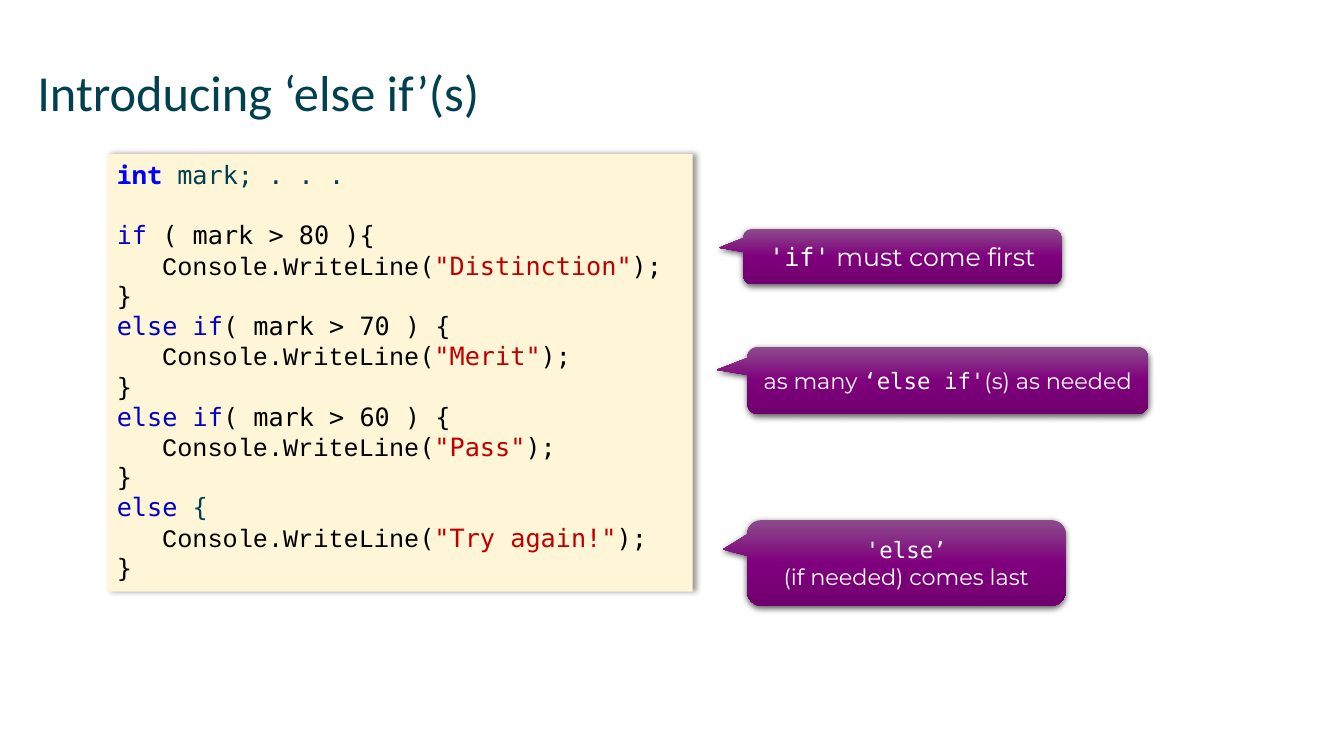
from copy import deepcopy

from lxml.etree import SubElement
from pptx import Presentation
from pptx.dml.color import RGBColor
from pptx.enum.shapes import MSO_SHAPE
from pptx.enum.text import MSO_ANCHOR, MSO_AUTO_SIZE, PP_ALIGN
from pptx.oxml.ns import qn
from pptx.util import Inches, Pt

MONO = "DejaVu Sans Mono"
STYLES = {
    "title": ("Calibri", "004050", False),
    "type": ("Noto Sans Mono", "0000FF", True),
    "dark": (MONO, "004050", False),
    "keyword": (MONO, "0000C8", False),
    "code": (MONO, "000000", False),
    "method": ("Courier New", "000000", False),
    "string": (MONO, "C00000", False),
    "note": ("Montserrat", "FFFFFF", False),
    "note code": (MONO, "FFFFFF", False),
}
LINE_HEIGHT = Pt(21.6)
CODE_INDENT = Inches(0.45)
PURPLE_STOPS = [(0, "8D4B8C"), (0.5, "7F007D"), (1, "71006F")]
BRANCHES = [
    ("if ", "( mark > 80 ){", "code", "Distinction"),
    ("else if", "( mark > 70 ) {", "code", "Merit"),
    ("else if", "( mark > 60 ) {", "code", "Pass"),
    ("else ", "{", "dark", "Try again!"),
]
CALLOUTS = [
    (7.37, 2.27, 3.16, 0.55, 18,
     [[("'if'", "note code"), (" must come first", "note")]]),
    (7.41, 3.44, 3.98, 0.67, 16,
     [[("as many ", "note"), ("‘else if'", "note code"), ("(s) as needed", "note")]]),
    (7.41, 5.16, 3.16, 0.85, 16,
     [[("'else’", "note code")], [("(if needed) comes last", "note")]]),
]


def colour(value):
    """Turn a hex string into a colour."""
    return RGBColor.from_string(value)


def write_lines(frame, lines, size, align):
    """Write each line of styled spans as a paragraph."""
    frame.word_wrap = True
    for number, spans in enumerate(lines):
        para = frame.add_paragraph() if number else frame.paragraphs[0]
        para.alignment = align
        for text, style in spans:
            span = para.add_run()
            span.text = text
            font_name, font_colour, bold = STYLES[style]
            span.font.name = font_name
            span.font.size = Pt(size)
            span.font.bold = bold
            span.font.color.rgb = colour(font_colour)


def add_box(page, preset, left, top, width, height):
    """Add a borderless preset shape."""
    box = page.shapes.add_shape(
        preset, Inches(left), Inches(top), Inches(width), Inches(height))
    box.line.fill.background()
    return box


def add_shadow(box, opacity, blur, distance, angle):
    """Give a shape a soft black outer shadow."""
    box.shadow.inherit = False
    effects = box._element.spPr.find(qn("a:effectLst"))
    shadow = SubElement(
        effects, qn("a:outerShdw"), blurRad=str(Pt(blur)), dist=str(Pt(distance)),
        dir=str(angle * 60000), algn="ctr", rotWithShape="0")
    black = SubElement(shadow, qn("a:srgbClr"), val="000000")
    SubElement(black, qn("a:alpha"), val=str(opacity * 1000))


def fill_gradient(box, stops):
    """Fill a shape with a three-stop gradient from top to bottom."""
    box.fill.gradient()
    box.fill.gradient_angle = 270
    stop_list = box._element.spPr.find(qn("a:gradFill")).find(qn("a:gsLst"))
    stop_list.append(deepcopy(stop_list[0]))
    for stop, (position, value) in zip(box.fill.gradient_stops, stops):
        stop.position = position
        stop.color.rgb = colour(value)


def add_title(page, text):
    """Move and format the title placeholder."""
    title = page.shapes.title
    title.left, title.top = Inches(0.37), Inches(0.61)
    title.width, title.height = Inches(12.6), Inches(0.88)
    frame = title.text_frame
    frame.margin_left = frame.margin_right = frame.margin_top = frame.margin_bottom = 0
    frame.vertical_anchor = MSO_ANCHOR.TOP
    frame.auto_size = MSO_AUTO_SIZE.NONE
    write_lines(frame, [[(text, "title")]], 36, PP_ALIGN.LEFT)


def code_lines():
    """List the styled lines of the code sample."""
    lines = [[("int ", "type"), ("mark; . . .", "dark")]]
    for keyword, condition, condition_style, grade in BRANCHES:
        lines += [
            [(keyword, "keyword"), (condition, condition_style)],
            [("Console.WriteLine", "method"), ("(", "code"),
             (f'"{grade}"', "string"), (");", "code")],
            [("}", "code")],
        ]
    return lines


def add_code(page):
    """Add the code panel with indented statements."""
    box = add_box(page, MSO_SHAPE.RECTANGLE, 1.06, 1.53, 5.81, 4.34)
    box.fill.solid()
    box.fill.fore_color.rgb = colour("FEF6D7")
    add_shadow(box, 40, 4, 3, 0)
    frame = box.text_frame
    frame.vertical_anchor = MSO_ANCHOR.TOP
    write_lines(frame, code_lines(), 18, PP_ALIGN.LEFT)
    for para in frame.paragraphs:
        para.line_spacing = LINE_HEIGHT
        if para.text.startswith("Console"):
            para._p.get_or_add_pPr().set("marL", str(CODE_INDENT))
    frame.paragraphs[0].space_after = LINE_HEIGHT


def add_callout(page, left, top, width, height, size, lines):
    """Add a purple callout pointing left at the code."""
    box = add_box(page, MSO_SHAPE.ROUNDED_RECTANGULAR_CALLOUT, left, top, width, height)
    for index, value in enumerate((-0.576, -0.158, 0.167)):
        box.adjustments[index] = value
    fill_gradient(box, PURPLE_STOPS)
    add_shadow(box, 63, 4.5, 1.5, 90)
    box.text_frame.vertical_anchor = MSO_ANCHOR.MIDDLE
    write_lines(box.text_frame, lines, size, PP_ALIGN.CENTER)


def main():
    """Build the slide and save it."""
    deck = Presentation()
    deck.slide_width, deck.slide_height = Inches(13.33), Inches(7.5)
    page = deck.slides.add_slide(deck.slide_layouts[5])
    add_title(page, "Introducing ‘else if’(s)")
    add_code(page)
    for callout in CALLOUTS:
        add_callout(page, *callout)
    deck.save("out.pptx")


if __name__ == "__main__":
    main()
